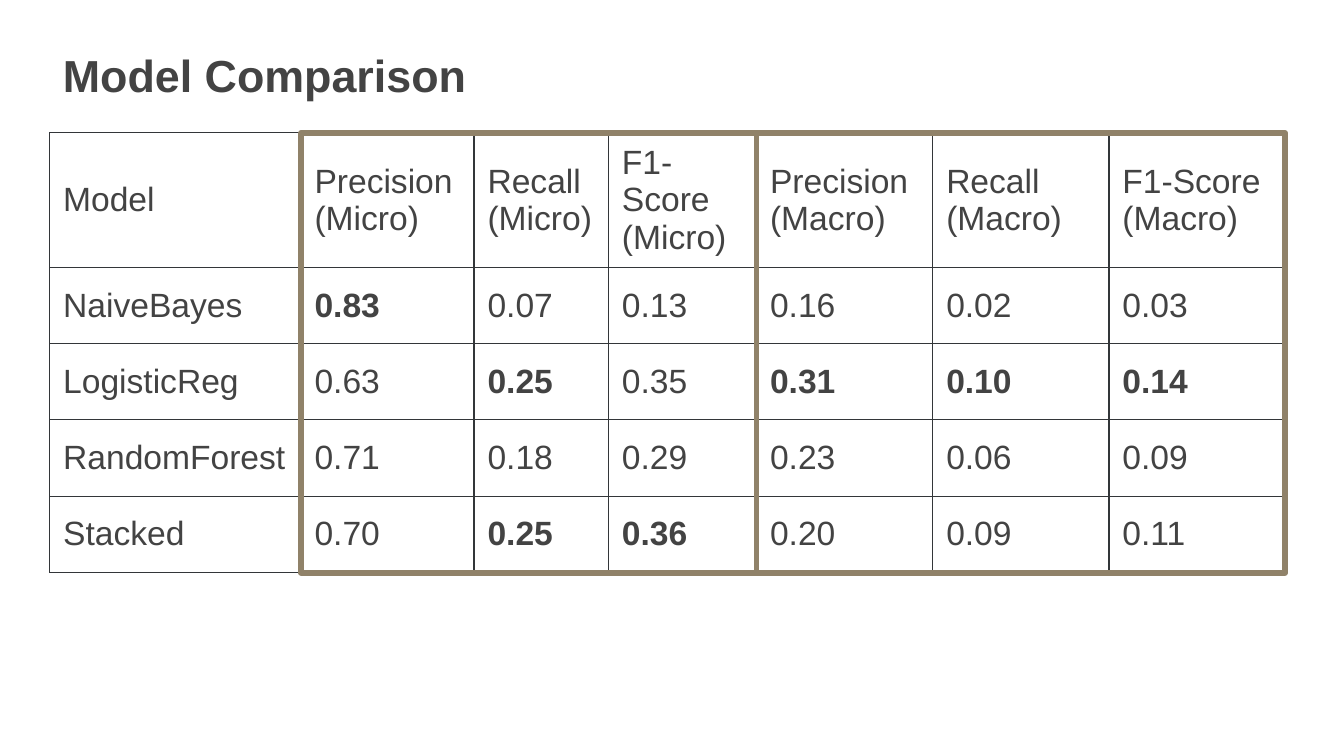
from lxml import etree
from pptx import Presentation
from pptx.dml.color import RGBColor
from pptx.enum.shapes import MSO_SHAPE
from pptx.enum.text import MSO_ANCHOR
from pptx.oxml.ns import qn
from pptx.util import Cm, Pt

RECT = MSO_SHAPE.RECTANGLE
TOP, MIDDLE = MSO_ANCHOR.TOP, MSO_ANCHOR.MIDDLE

HEADER = ["Model"] + [f"{metric} ({average})" for average in ("Micro", "Macro")
                      for metric in ("Precision", "Recall", "F1-Score")]
SCORES = {
    "NaiveBayes": [0.83, 0.07, 0.13, 0.16, 0.02, 0.03],
    "LogisticReg": [0.63, 0.25, 0.35, 0.31, 0.10, 0.14],
    "RandomForest": [0.71, 0.18, 0.29, 0.23, 0.06, 0.09],
    "Stacked": [0.70, 0.25, 0.36, 0.20, 0.09, 0.11],
}
LEFT, TABLE_TOP = 0.94, 2.51
COLS = [4.75, 3.27, 2.54, 2.8, 3.33, 3.33, 3.33]
ROWS = [1.98] + [1.44] * len(SCORES)


def rgb(code):
    return RGBColor.from_string(code)


class SlideBuilder:
    font, ink, grid, accent = "Arial", "434343", "333639", "908269"

    def __init__(self, slide):
        self.slide = slide

    def run(self, tf, text, size, bold=False):
        r = tf.paragraphs[0].add_run()
        r.text = text
        r.font.name, r.font.size, r.font.bold = self.font, Pt(size), bold
        r.font.color.rgb = rgb(self.ink)

    def title(self, text, x, y, w, h):
        tf = self.slide.shapes.add_textbox(Cm(x), Cm(y), Cm(w), Cm(h)).text_frame
        tf.word_wrap, tf.vertical_anchor = True, TOP
        tf.margin_left = tf.margin_right = Cm(0.25)
        tf.margin_top = tf.margin_bottom = Cm(0.25)
        self.run(tf, text, 24, True)

    def borders(self, cell, width=0.75):
        tcPr = cell._tc.get_or_add_tcPr()
        for i, side in enumerate(("lnL", "lnR", "lnT", "lnB")):
            ln = etree.Element(qn(f"a:{side}"), w=str(Pt(width)))
            fill = etree.SubElement(ln, qn("a:solidFill"))
            etree.SubElement(fill, qn("a:srgbClr"), val=self.grid)
            tcPr.insert(i, ln)

    def table(self, rows, x, y, widths, heights):
        """Each row is a list of (text, bold) pairs."""
        table = self.slide.shapes.add_table(
            len(heights), len(widths), Cm(x), Cm(y),
            Cm(sum(widths)), Cm(sum(heights))).table
        table.first_row = table.horz_banding = False
        for column, width in zip(table.columns, widths):
            column.width = Cm(width)
        for row, height, entries in zip(table.rows, heights, rows):
            row.height = Cm(height)
            for cell, (text, bold) in zip(row.cells, entries):
                cell.fill.background()
                cell.vertical_anchor = MIDDLE
                self.borders(cell)
                self.run(cell.text_frame, text, 18, bold)

    def frame(self, x, y, w, h):
        sp = self.slide.shapes.add_shape(RECT, Cm(x), Cm(y), Cm(w), Cm(h))
        sp.shadow.inherit = False
        sp.fill.background()
        sp.line.color.rgb, sp.line.width = rgb(self.accent), Pt(3)


def main():
    prs = Presentation()
    prs.slide_width, prs.slide_height = Cm(25.4), Cm(14.28)
    page = SlideBuilder(prs.slides.add_slide(prs.slide_layouts[6]))

    # Title
    page.title("Model Comparison", LEFT, 0.66, 17.32, 2.57)

    # Scores, with the best of each column in bold
    best = [max(column) for column in zip(*SCORES.values())]
    rows = [[(text, False) for text in HEADER]]
    for model, scores in SCORES.items():
        rows.append([(model, False)] + [(f"{score:.2f}", score == top)
                                        for score, top in zip(scores, best)])
    page.table(rows, LEFT, TABLE_TOP, COLS, ROWS)

    # Frames around the micro and macro groups
    for first in (1, 4):
        page.frame(LEFT + sum(COLS[:first]), TABLE_TOP,
                   sum(COLS[first:first + 3]), 8.31)

    prs.save("out.pptx")


if __name__ == "__main__":
    main()
